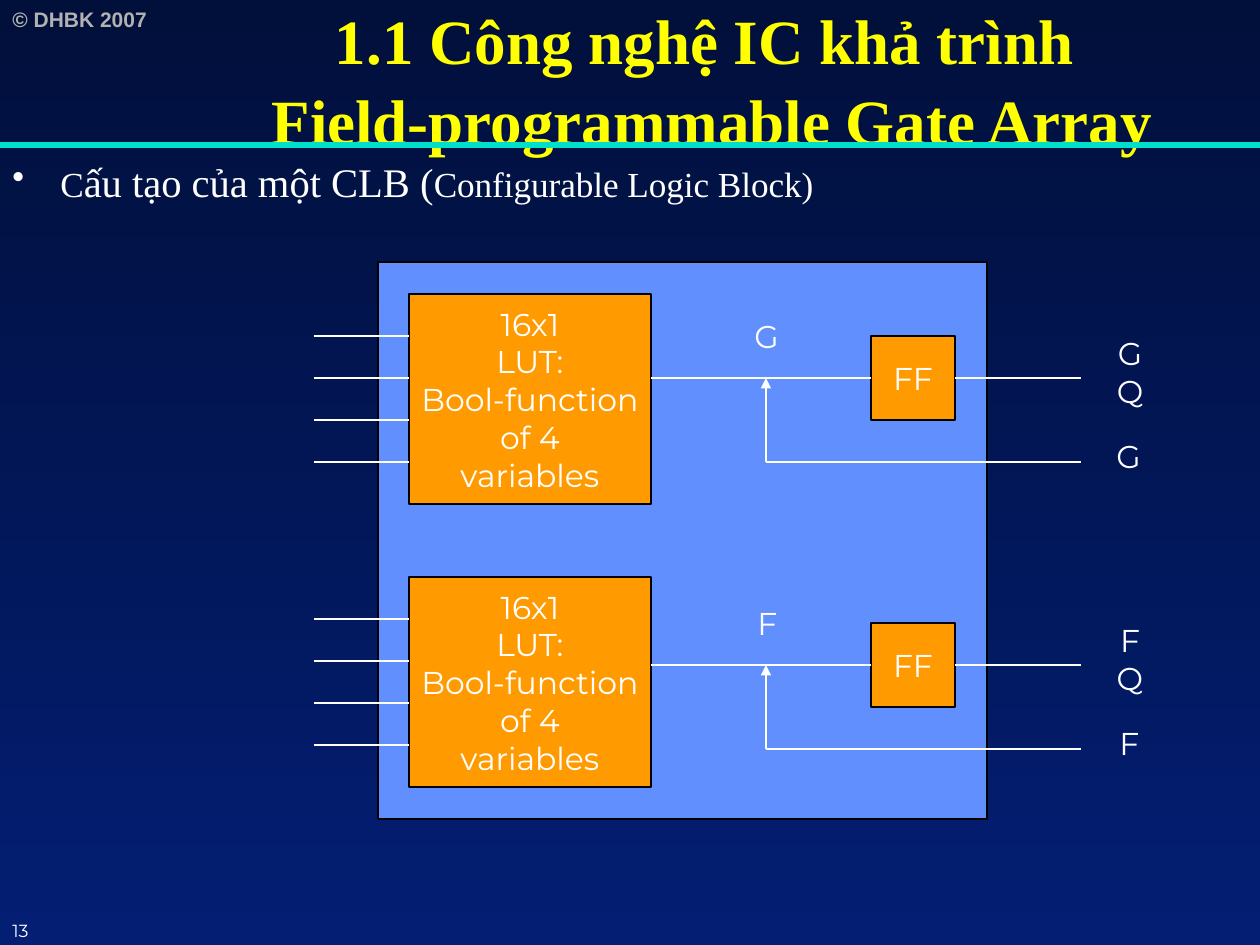
from lxml import etree
from pptx import Presentation, util as u
from pptx.dml.color import RGBColor
from pptx.enum import shapes, text
from pptx.oxml.ns import qn

SCALE = 914400 / 126  # EMU in one px
WHITE, BLACK, ORANGE, BLUE = "FFFFFF", "000000", "FF9B00", "618FFD"
SANS, SERIF = "Montserrat", "Times New Roman"
CENTER, LEFT = text.PP_ALIGN.CENTER, text.PP_ALIGN.LEFT
MIDDLE, TOP = text.MSO_ANCHOR.MIDDLE, text.MSO_ANCHOR.TOP


def px(length):
    return u.Emu(round(length * SCALE))


def color(value):
    return RGBColor.from_string(value)


def add_run(para, words, size, font=SANS, ink=WHITE, bold=False):
    span = para.add_run()
    span.text = words
    span.font.size, span.font.name, span.font.bold = u.Pt(size), font, bold
    span.font.color.rgb = color(ink)


def set_frame(shape, anchor=MIDDLE, wrap=False, align=CENTER):
    frame = shape.text_frame
    frame.word_wrap, frame.vertical_anchor = wrap, anchor
    frame.paragraphs[0].alignment = align
    return frame


def add_text_box(page, x, y, width, height, **layout):
    box = page.shapes.add_textbox(px(x), px(y), px(width), px(height))
    return set_frame(box, **layout)


def add_label(page, words, center_x, center_y, width, wrap=False):
    frame = add_text_box(page, center_x - width / 2, center_y - 25, width, 50, wrap=wrap)
    add_run(frame.paragraphs[0], words, 18)


def add_block(page, x, y, width, height, fill, lines=()):
    block = page.shapes.add_shape(shapes.MSO_SHAPE.RECTANGLE, px(x), px(y), px(width), px(height))
    block.shadow.inherit = False
    block.fill.solid()
    block.fill.fore_color.rgb = color(fill)
    block.line.color.rgb = color(BLACK)
    block.line.width = u.Pt(0.75)
    frame = set_frame(block)
    for index, words in enumerate(lines):
        para = frame.add_paragraph() if index else frame.paragraphs[0]
        para.alignment = CENTER
        add_run(para, words, 18)


def add_wire(page, x1, y1, x2, y2, ink=WHITE, weight=1.5, arrow=False):
    wire = page.shapes.add_connector(shapes.MSO_CONNECTOR.STRAIGHT, px(x1), px(y1), px(x2), px(y2))
    wire.line.color.rgb = color(ink)
    wire.line.width = u.Pt(weight)
    if arrow:
        etree.SubElement(wire.line._get_or_add_ln(), qn("a:tailEnd"), type="triangle")
    etree.SubElement(wire._element.spPr, qn("a:effectLst"))


def add_header(page, x, y, width, height):
    # Copyright line and rule
    frame = add_text_box(page, x, y, 183, 38, anchor=TOP, align=LEFT)
    add_run(frame.paragraphs[0], "© DHBK 2007", 12, "Arial", "B2B2B2", True)
    add_wire(page, x, y + height - 2, x + width, y + height - 2, "00DFCA", 3)

    # Two-line title
    title = page.shapes.title
    title.left, title.top = px(x + 164), px(y + 4)
    title.width, title.height = px(width - 164), px(height)
    frame = set_frame(title, wrap=True)
    frame.auto_size = text.MSO_AUTO_SIZE.NONE
    frame.margin_top = frame.margin_bottom = 0
    para = frame.paragraphs[0]
    para.line_spacing = 1.05
    add_run(para, "1.1 Công nghệ IC khả trình ", 36, SERIF, "FFFF00", True)
    para.add_line_break()
    add_run(para, "Field-programmable Gate Array", 36, SERIF, "FFFF00", True)


def add_bullet_line(page, x, y, width, height):
    frame = add_text_box(page, x, y, width, height, anchor=TOP, wrap=True, align=LEFT)
    frame.margin_top = px(10)
    para = frame.paragraphs[0]
    props = para._p.get_or_add_pPr()
    props.set("marL", str(px(48)))
    props.set("indent", str(px(-48)))
    ink = etree.SubElement(props, qn("a:buClr"))
    etree.SubElement(ink, qn("a:srgbClr"), val=WHITE)
    etree.SubElement(props, qn("a:buChar"), char="•")
    add_run(para, "C", 20.1, SERIF)
    add_run(para, "ấu tạo của một CLB (", 23.2, SERIF)
    add_run(para, "Configurable Logic Block)", 20.1, SERIF)


def add_lane(page, x, y, wire_y, name, label_width):
    """One LUT, its flip-flop and outputs; x, y is the LUT's corner."""
    lut_width, ff_size = 242, 84
    ff_x, tap_x, end_x = x + 462, x + 357, x + 672

    # Lookup table with four inputs
    add_block(page, x, y, lut_width, 210, ORANGE,
              ["16x1", "LUT:", "Bool-function", "of 4", "variables"])
    for step in range(1, 5):
        add_wire(page, x - 95, y + 42 * step, x, y + 42 * step)

    # Flip-flop, its wires and the bypass
    add_block(page, ff_x, wire_y - ff_size / 2, ff_size, ff_size, ORANGE, ["FF"])
    add_wire(page, x + lut_width, wire_y, ff_x, wire_y)
    add_wire(page, ff_x + ff_size, wire_y, end_x, wire_y)
    add_wire(page, tap_x, wire_y + 84, tap_x, wire_y, arrow=True)
    add_wire(page, tap_x, wire_y + 84, end_x, wire_y + 84)

    # Signal names
    add_label(page, name, tap_x, wire_y - 42, label_width)
    add_label(page, name, end_x + 47, wire_y + 78, label_width)
    add_label(page, name + "Q", end_x + 49, wire_y - 6, label_width + 24, wrap=True)


def add_logic_block(page, x, y, width, height):
    add_block(page, x, y, width, height, BLUE)
    add_lane(page, x + 31, y + 32, y + 116, "G", 48)
    add_lane(page, x + 31, y + 315, y + 403, "F", 42)


def main():
    deck = Presentation()
    deck.slide_width, deck.slide_height = px(1260), px(945)
    page = deck.slides.add_slide(deck.slide_layouts[5])

    # Background, dark at the top
    fill = page.background.fill
    fill.gradient()
    fill.gradient_angle = 270
    for stop, ink in zip(fill.gradient_stops, ("010F3B", "031E73")):
        stop.color.rgb = color(ink)

    add_header(page, 0, 0, 1260, 147)
    add_bullet_line(page, 0, 147, 1260, 63)
    add_logic_block(page, 378, 262, 609, 557)

    # Page number
    frame = add_text_box(page, 0, 914, 84, 31, anchor=TOP, align=LEFT)
    add_run(frame.paragraphs[0], "13", 10)
    deck.save("out.pptx")


if __name__ == "__main__":
    main()
